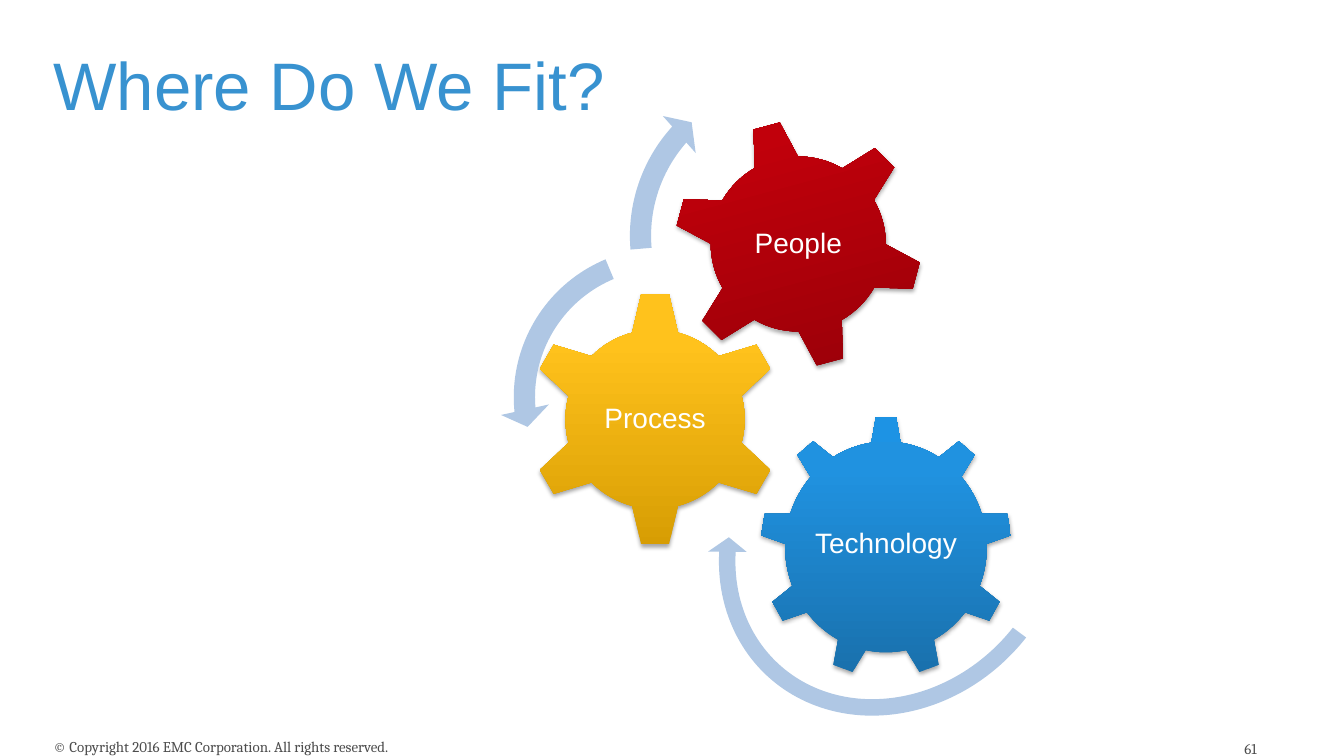
from lxml import etree
from pptx import Presentation
from pptx import util as u
from pptx.dml.color import RGBColor
from pptx.enum import shapes, text
from pptx.oxml import ns

COLORS = {"title": "3892D0", "footer": "4D4D4D", "label": "FFFFFF",
          "arrow": "AFC7E4", "shadow": "000000"}
GRADIENTS = {"Technology": ("1970AC", "2092E0", "1D93E4"),
             "Process": ("D79D03", "FFC21C", "FFC21D"),
             "People": ("940008", "C1000B", "C2000B")}
FORMATS = {"title": {"name": "Arial", "size": u.Pt(48)},
           "label": {"name": "Arial", "size": u.Pt(20)},
           "footer": {"name": "Cambria", "size": u.Pt(10.7)}}
FRAME = {"margin_left": 0, "margin_top": 0, "margin_right": 0, "margin_bottom": 0,
         "word_wrap": True, "auto_size": text.MSO_AUTO_SIZE.NONE}
SHAPE = shapes.MSO_SHAPE
ALIGN = text.PP_ALIGN
ANCHOR = text.MSO_ANCHOR


def points(box):
    """Turn a box of numbers into lengths in points."""
    return [u.Pt(value) for value in box]


def set_all(target, values):
    """Set every attribute in the dict of values."""
    for name, value in values.items():
        setattr(target, name, value)


def write(shape, words, style, align, anchor, spacing=None, **frame):
    """Fill a shape with one formatted paragraph."""
    set_all(shape.text_frame, {**FRAME, "vertical_anchor": anchor, **frame})
    paragraph = shape.text_frame.paragraphs[0]
    set_all(paragraph, {"text": words, "alignment": align, "line_spacing": spacing})
    set_all(paragraph.font, FORMATS[style])
    paragraph.font.color.rgb = RGBColor.from_string(COLORS[style])


def add_title(slide, box, words):
    """Place the slide title in its box."""
    title = slide.shapes.title
    set_all(title, dict(zip(("left", "top", "width", "height"), points(box))))
    write(title, words, "title", ALIGN.LEFT, ANCHOR.BOTTOM, u.Pt(48))


def add_footer(slide, box, copyright_line, number):
    """Place the copyright line and the page number at the ends of the box."""
    left, top, width, height = box
    line = slide.shapes.add_textbox(*points((left, top, 265, height)))
    write(line, copyright_line, "footer", ALIGN.LEFT, ANCHOR.TOP, word_wrap=False)
    page = slide.shapes.add_textbox(*points((left + width - 56, top + 1.4, 56, height)))
    write(page, number, "footer", ALIGN.RIGHT, ANCHOR.TOP)


def shade(shape, colors):
    """Give a shape a three-stop gradient rising from its base and a soft shadow."""
    stops = "".join(f'<a:gs pos="{position}"><a:srgbClr val="{color}"/></a:gs>'
                    for position, color in zip((0, 80000, 100000), colors))
    gradient = (f'<a:gradFill {ns.nsdecls("a")} rotWithShape="1"><a:gsLst>{stops}</a:gsLst>'
                '<a:lin ang="16200000" scaled="0"/></a:gradFill>')
    shadow = (f'<a:effectLst {ns.nsdecls("a")}><a:outerShdw blurRad="{u.Pt(3.1)}" '
              f'dist="{u.Pt(1.8)}" dir="5400000" rotWithShape="0">'
              f'<a:srgbClr val="{COLORS["shadow"]}"><a:alpha val="35000"/></a:srgbClr>'
              '</a:outerShdw></a:effectLst>')
    shape.line.fill.background()
    properties = shape._element.spPr
    properties.find(ns.qn("a:prstGeom")).addnext(etree.fromstring(gradient))
    properties.append(etree.fromstring(shadow))


def add_gear(slide, box, name, preset, inset, lift=0, rotation=0):
    """Draw a shaded gear with an upright label inset in its box."""
    left, top, width, height = box
    gear = slide.shapes.add_shape(preset, *points(box))
    gear.rotation = rotation
    shade(gear, GRADIENTS[name])
    label = slide.shapes.add_textbox(*points(
        (left + inset, top + inset - lift, width - 2 * inset, height - 2 * inset)))
    margins = {f"margin_{side}": u.Pt(2) for side in ("left", "top", "right", "bottom")}
    write(label, name, "label", ALIGN.CENTER, ANCHOR.MIDDLE, 0.9, **margins)


def add_turn_arrow(slide, box, preset, adjustments, rotation=0):
    """Draw a flat curved arrow in its box."""
    arrow = slide.shapes.add_shape(preset, *points(box))
    arrow.rotation = rotation
    for index, value in enumerate(adjustments):
        arrow.adjustments[index] = value
    arrow.fill.solid()
    arrow.fill.fore_color.rgb = RGBColor.from_string(COLORS["arrow"])
    arrow.line.fill.background()
    arrow.shadow.inherit = False


def add_gear_train(slide, box):
    """Draw the three meshing gears and their turning arrows."""
    left, top = box

    def place(x, y, width, height):
        return left + x, top + y, width, height

    add_gear(slide, place(185.8, 254.9, 180, 186.5), "Technology", SHAPE.GEAR_9, 36, lift=1.8)
    add_gear(slide, place(19.4, 165.6, 182.9, 182.9), "Process", SHAPE.GEAR_6, 46)
    add_gear(slide, place(123.8, 42.5, 178.6, 178.6), "People", SHAPE.GEAR_6, 39.5, rotation=345)
    add_turn_arrow(slide, place(140.4, 217.4, 282.2, 250.6), SHAPE.CIRCULAR_ARROW,
                   (0.047, 2.99, 25.446, 158.013, 0.055), rotation=133.3)
    add_turn_arrow(slide, place(0, 124.6, 233.3, 233.3), SHAPE.LEFT_CIRCULAR_ARROW,
                   (0.065, 4.3, 104.891, 148.378, 0.075))
    add_turn_arrow(slide, place(82.8, 0, 252, 252), SHAPE.CIRCULAR_ARROW,
                   (0.06, 3.941, 133.138, 105.082, 0.07))


def main():
    """Build the slide and save it."""
    presentation = Presentation()
    set_all(presentation, {"slide_width": u.Pt(960), "slide_height": u.Pt(540)})
    slide = presentation.slides.add_slide(presentation.slide_layouts[5])
    add_footer(slide, (38.2, 527, 859.6, 13),
               "© Copyright 2016 EMC Corporation. All rights reserved.", "61")
    add_gear_train(slide, (357.1, 42.5))
    add_title(slide, (38.2, 15.8, 882.7, 72.7), "Where Do We Fit?")
    presentation.save("out.pptx")


if __name__ == "__main__":
    main()
